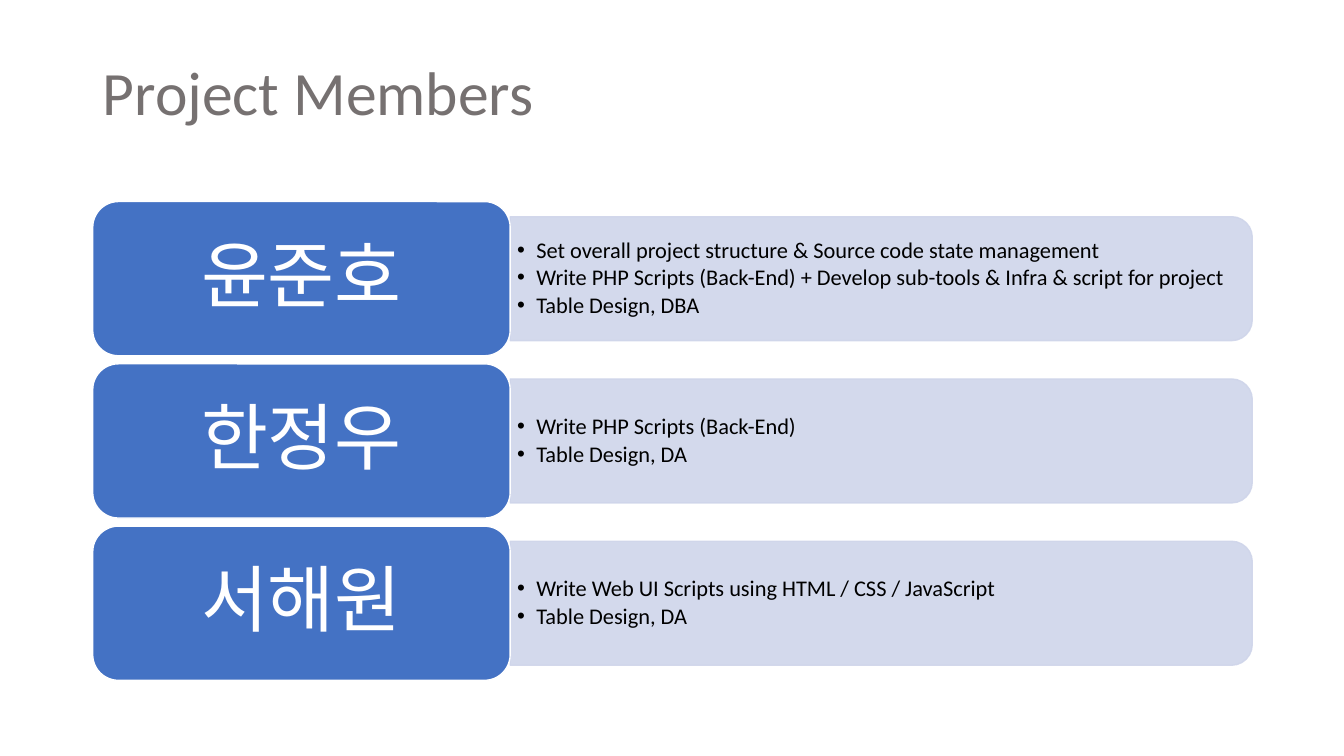
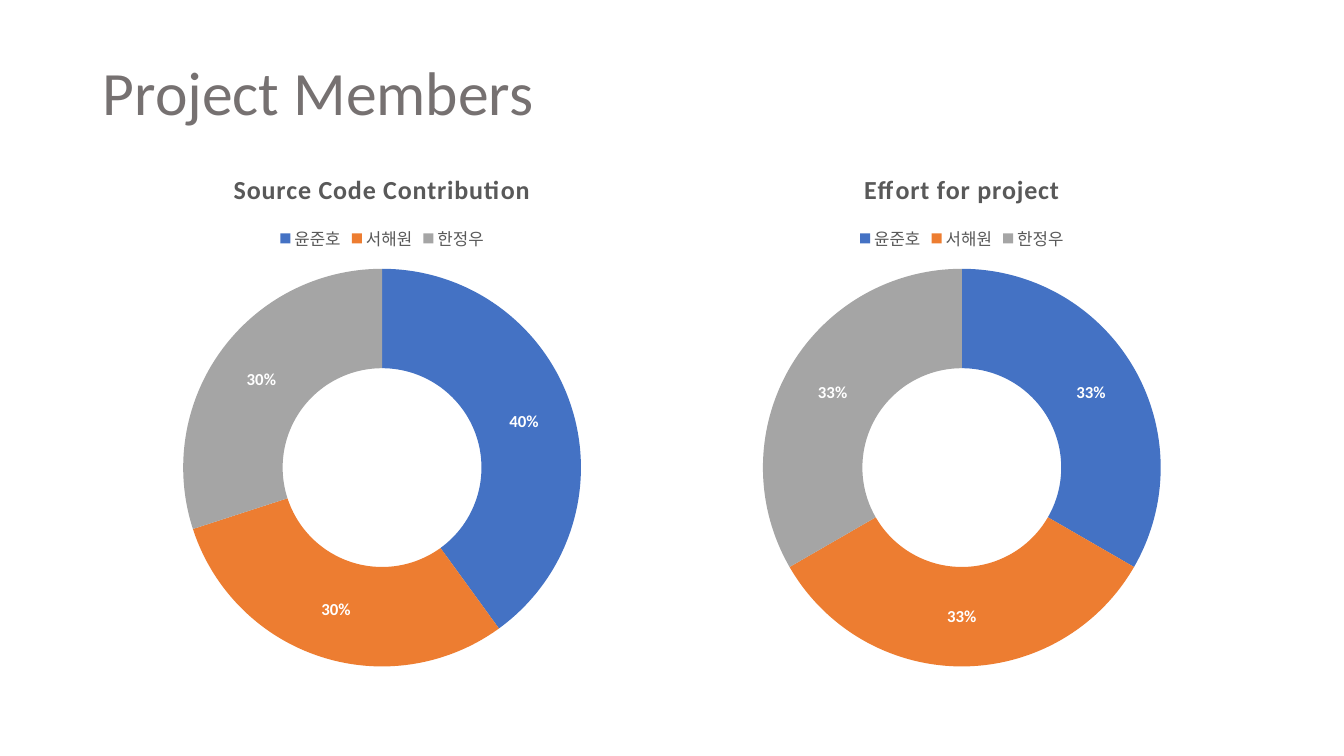
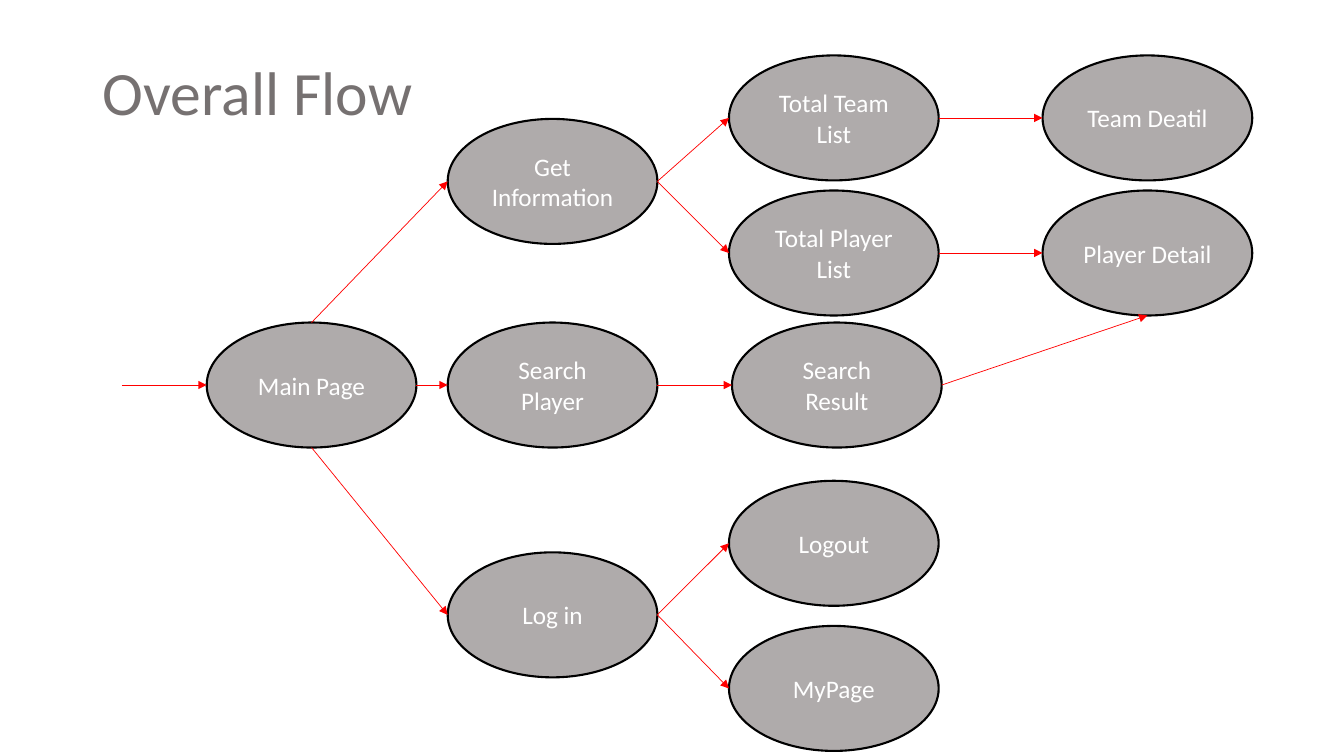
from pptx import Presentation
from pptx.chart.data import CategoryChartData
from pptx.dml.color import RGBColor
from pptx.enum.chart import XL_CHART_TYPE as CHART, XL_LEGEND_POSITION as LEGEND
from pptx.enum.shapes import MSO_CONNECTOR as CXN, MSO_SHAPE as SHAPE
from pptx.enum.text import MSO_ANCHOR as ANCHOR, PP_ALIGN as ALIGN
from pptx.oxml.ns import qn
from pptx.util import Inches, Pt
from lxml.etree import SubElement

TITLE_GRAY = RGBColor(0x76, 0x71, 0x71)
TEXT_GRAY = RGBColor(0x59, 0x59, 0x59)
BLUE = RGBColor(0x44, 0x72, 0xC4)
ORANGE = RGBColor(0xED, 0x7D, 0x31)
GRAY = RGBColor(0xA5, 0xA5, 0xA5)
PALE = RGBColor(0xCF, 0xD5, 0xEA)
NODE_GRAY = RGBColor(0xAF, 0xAB, 0xAB)
RED = RGBColor(0xFF, 0, 0)
BLACK = RGBColor(0, 0, 0)
WHITE = RGBColor(0xFF, 0xFF, 0xFF)

TITLE_FONT = dict(size=Pt(44), color=TITLE_GRAY)
NAME_FONT = dict(size=Pt(52), color=WHITE)
TASK_FONT = dict(size=Pt(16), color=BLACK)
NODE_FONT = dict(size=Pt(18), color=WHITE)
CHART_FONT = dict(size=Pt(10), color=BLACK)
CHART_TITLE_FONT = dict(size=Pt(18.6), color=TEXT_GRAY, bold=True)
LEGEND_FONT = dict(size=Pt(12), color=TEXT_GRAY)
LABEL_FONT = dict(size=Pt(12), color=WHITE, bold=True)

MEMBERS = [
    ("윤준호", [
        "Set overall project structure & Source code state management",
        "Write PHP Scripts (Back-End) + Develop sub-tools & Infra & script for project",
        "Table Design, DBA",
    ]),
    ("한정우", ["Write PHP Scripts (Back-End)", "Table Design, DA"]),
    ("서해원", [
        "Write Web UI Scripts using HTML / CSS / JavaScript",
        "Table Design, DA",
    ]),
]

CHART_NAMES = ["윤준호", "서해원", "한정우"]
CHART_COLORS = [BLUE, ORANGE, GRAY]
CHARTS = [
    ("Effort for project", 7.31, [33, 33, 33]),
    ("Source Code Contribution", 1.56, [40, 30, 30]),
]

NODE_W, NODE_H = 2.08, 1.24
NODES = {
    "Main Page": (2.05, 3.2),
    "Get Information": (4.44, 1.18),
    "Search Player": (4.44, 3.2),
    "Log in": (4.44, 5.48),
    "Total Team List": (7.23, 0.55),
    "Total Player List": (7.23, 1.89),
    "Search Result": (7.26, 3.2),
    "Logout": (7.23, 4.77),
    "MyPage": (7.23, 6.21),
    "Team Deatil": (10.34, 0.55),
    "Player Detail": (10.34, 1.89),
}
SITES = {
    "top": (0, 0.5, 0),
    "left": (2, 0, 0.5),
    "bottom": (4, 0.5, 1),
    "right": (6, 1, 0.5),
}
FLOWS = [
    ("Main Page", "top", "Get Information", "left"),
    ("Main Page", "right", "Search Player", "left"),
    ("Main Page", "bottom", "Log in", "left"),
    ("Get Information", "right", "Total Team List", "left"),
    ("Get Information", "right", "Total Player List", "left"),
    ("Total Team List", "right", "Team Deatil", "left"),
    ("Total Player List", "right", "Player Detail", "left"),
    ("Search Player", "right", "Search Result", "left"),
    ("Search Result", "right", "Player Detail", "bottom"),
    ("Log in", "right", "Logout", "left"),
    ("Log in", "right", "MyPage", "left"),
]
ENTRY_X = 1.21


def set_font(font, color, **values):
    font.name = "Calibri"
    font.color.rgb = color
    for key, value in values.items():
        setattr(font, key, value)


def set_attrs(obj, **values):
    for key, value in values.items():
        setattr(obj, key, value)


def write(p, text, fmt, **para):
    r = p.add_run()
    r.text = text
    set_font(r.font, **fmt)
    set_attrs(p, **para)


def add_slide(prs, title):
    s = prs.slides.add_slide(prs.slide_layouts[5])
    tf = s.shapes.title.text_frame
    tf.vertical_anchor = ANCHOR.MIDDLE
    write(tf.paragraphs[0], title, TITLE_FONT, alignment=ALIGN.LEFT, line_spacing=0.9)
    return s


def add_box(s, kind, x, y, w, h, fill, line, width):
    sp = s.shapes.add_shape(kind, Inches(x), Inches(y), Inches(w), Inches(h))
    sp.shadow.inherit = False
    sp.fill.solid()
    sp.fill.fore_color.rgb = fill
    sp.line.color.rgb = line
    sp.line.width = Pt(width)
    return sp


def add_bullet(p):
    pPr = p._p.get_or_add_pPr()
    pPr.set("marL", str(Inches(0.19)))
    pPr.set("indent", str(-Inches(0.19)))
    SubElement(pPr, qn("a:buFont")).set("typeface", "Arial")
    SubElement(pPr, qn("a:buChar")).set("char", "•")


def add_member(s, y, name, tasks):
    card_x, card_w, card_h = 0.92, 4.14, 1.53
    bar_w, bar_h = 7.36, 1.23
    bar_x, mid = card_x + card_w, y + card_h / 2
    bar = add_box(s, SHAPE.ROUND_2_SAME_RECTANGLE, bar_x + (bar_w - bar_h) / 2,
                  mid - bar_w / 2, bar_h, bar_w, PALE, PALE, 1)
    bar.rotation = 90
    for clr in bar.element.spPr.iter(qn("a:srgbClr")):
        SubElement(clr, qn("a:alpha")).set("val", "90000")

    box = s.shapes.add_textbox(Inches(bar_x), Inches(mid - 0.555), Inches(7.3), Inches(1.11))
    tf = box.text_frame
    set_attrs(tf, word_wrap=True, vertical_anchor=ANCHOR.MIDDLE,
              margin_left=Inches(0.07), margin_right=Inches(0.07),
              margin_top=Inches(0.03), margin_bottom=Inches(0.03))
    for i, task in enumerate(tasks):
        p = tf.add_paragraph() if i else tf.paragraphs[0]
        write(p, task, TASK_FONT, line_spacing=0.9, space_after=Pt(2.4))
        add_bullet(p)

    card = add_box(s, SHAPE.ROUNDED_RECTANGLE, card_x, y, card_w, card_h, BLUE, WHITE, 1)
    write(card.text_frame.paragraphs[0], name, NAME_FONT,
          alignment=ALIGN.CENTER, line_spacing=0.9, space_after=Pt(18))


def add_doughnut(s, title, x, values):
    data = CategoryChartData()
    data.categories = CHART_NAMES
    data.add_series(title, values)
    chart = s.shapes.add_chart(CHART.DOUGHNUT, Inches(x), Inches(1.49),
                               Inches(4.46), Inches(5.26), data).chart
    set_font(chart.font, **CHART_FONT)
    chart.has_title = True
    p = chart.chart_title.text_frame.paragraphs[0]
    write(p, title, CHART_TITLE_FONT)
    p.runs[0].font._element.set("spc", "50")
    chart.has_legend = True
    set_attrs(chart.legend, position=LEGEND.TOP, include_in_layout=False)
    set_font(chart.legend.font, **LEGEND_FONT)
    plot = chart.plots[0]
    set_attrs(plot, vary_by_categories=True, has_data_labels=True)
    set_attrs(plot.data_labels, show_percentage=True, show_value=False)
    set_font(plot.data_labels.font, **LABEL_FONT)
    for i, color in enumerate(CHART_COLORS):
        fill = plot.series[0].points[i].format.fill
        fill.solid()
        fill.fore_color.rgb = color


def site_point(node, side):
    (x, y), (_, fx, fy) = NODES[node], SITES[side]
    return Inches(x + fx * NODE_W), Inches(y + fy * NODE_H)


def add_arrow(s, start, end, joints):
    cxn = s.shapes.add_connector(CXN.STRAIGHT, *start, *end)
    cxn.line.color.rgb = RED
    cxn.line.width = Pt(0.5)
    SubElement(cxn.line._get_or_add_ln(), qn("a:tailEnd")).set("type", "triangle")
    SubElement(cxn._element.spPr, qn("a:effectLst"))
    for tag, sp, side in joints:
        joint = SubElement(cxn._element.nvCxnSpPr.cNvCxnSpPr, qn(tag))
        joint.set("id", str(sp.shape_id))
        joint.set("idx", str(SITES[side][0]))


def add_flow(s):
    nodes = {}
    for name, (x, y) in NODES.items():
        sp = add_box(s, SHAPE.OVAL, x, y, NODE_W, NODE_H, NODE_GRAY, BLACK, 1.5)
        write(sp.text_frame.paragraphs[0], name, NODE_FONT, alignment=ALIGN.CENTER)
        nodes[name] = sp
    for a, a_side, b, b_side in FLOWS:
        add_arrow(s, site_point(a, a_side), site_point(b, b_side),
                  [("a:stCxn", nodes[a], a_side), ("a:endCxn", nodes[b], b_side)])
    end = site_point("Main Page", "left")
    add_arrow(s, (Inches(ENTRY_X), end[1]), end,
              [("a:endCxn", nodes["Main Page"], "left")])


def main():
    prs = Presentation()
    set_attrs(prs, slide_width=Inches(13.33), slide_height=Inches(7.5))
    set_attrs(prs.slide_layouts[5].placeholders[0], left=Inches(0.92),
              top=Inches(0.4), width=Inches(11.5), height=Inches(1.09))

    s = add_slide(prs, "Project Members")
    for i, (name, tasks) in enumerate(MEMBERS):
        add_member(s, 2 + 1.61 * i, name, tasks)

    s = add_slide(prs, "Project Members")
    for title, x, values in CHARTS:
        add_doughnut(s, title, x, values)

    add_flow(add_slide(prs, "Overall Flow"))
    prs.save("out.pptx")


if __name__ == "__main__":
    main()
